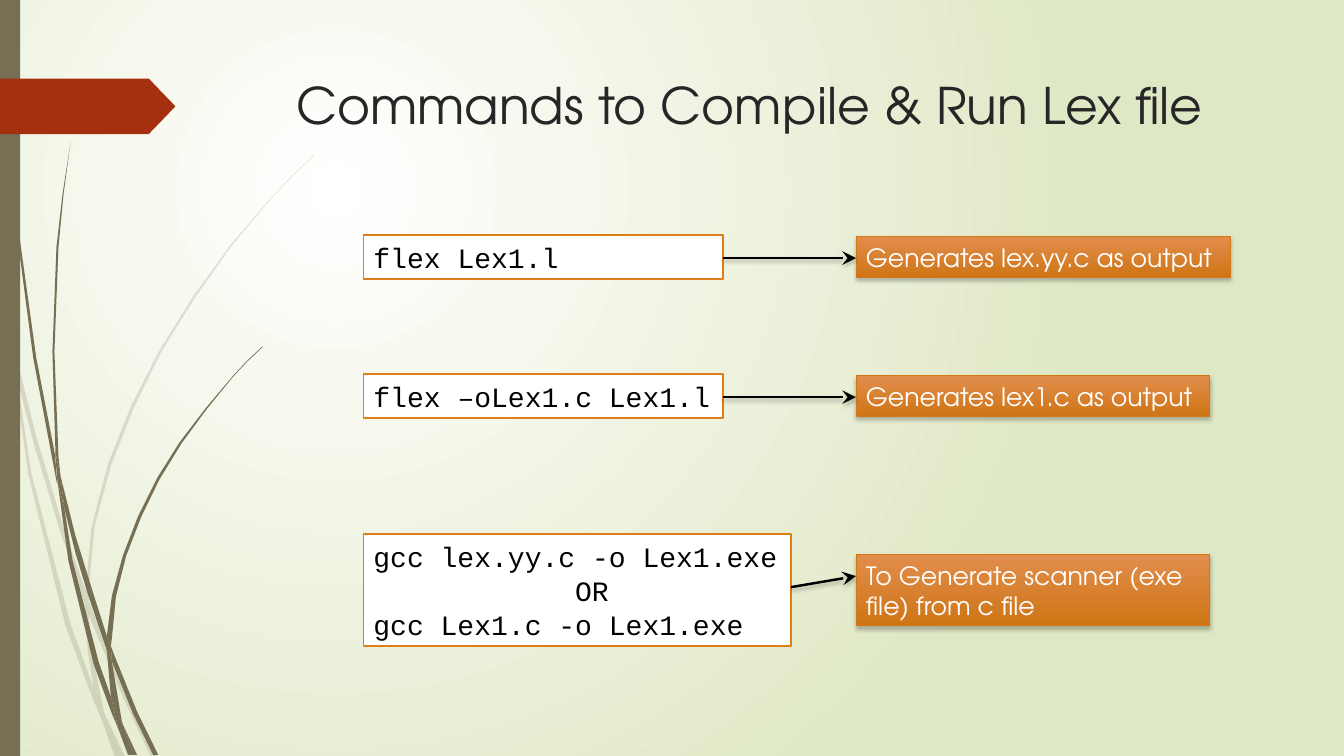
from lxml import etree
from pptx import Presentation
from pptx.dml.color import RGBColor
from pptx.enum.shapes import MSO_CONNECTOR, MSO_SHAPE
from pptx.enum.text import MSO_ANCHOR, PP_ALIGN
from pptx.oxml.ns import qn
from pptx.util import Inches, Pt

RECTANGLE, TAG = MSO_SHAPE.RECTANGLE, MSO_SHAPE.PENTAGON
STRAIGHT, LEFT = MSO_CONNECTOR.STRAIGHT, PP_ALIGN.LEFT
TOP, MIDDLE = MSO_ANCHOR.TOP, MSO_ANCHOR.MIDDLE

# The grid: fine square cells, all lengths below count them
CELL = Inches(0.01)
COLUMNS, ROWS = 1333, 750
HEAD_FONT, CODE_FONT = "TeX Gyre Adventor", "Courier New"
BROWN, RUST, ORANGE = "766F54", "A53010", "DE7E18"
WHITE, BLACK, INK = "FFFFFF", "000000", "262626"

# Grass blades: corners (column, row) of each piece
PALE_BLADES = [
    [(11, 350), (9, 322), (0, 282), (0, 299), (10, 344)],
    [(58, 522), (84, 599), (85, 586), (62, 520), (36, 433), (14, 345), (17, 376), (34, 442)],
    [(92, 607), (88, 596), (88, 610), (123, 694), (150, 751), (155, 751), (127, 692)],
    [(119, 751), (124, 751), (105, 711)],
    [(93, 683), (70, 619), (31, 469), (17, 376), (11, 350), (28, 470), (65, 621),
     (92, 693), (101, 714), (99, 707)],
    [(84, 599), (87, 646), (93, 683), (96, 692), (105, 711), (103, 706), (91, 646),
     (88, 610), (88, 608)],
    [(88, 584), (94, 522), (110, 462), (133, 404), (160, 349), (193, 296), (229, 245),
     (268, 198), (290, 175), (312, 154), (312, 153), (289, 175), (268, 197), (228, 244),
     (191, 295), (158, 348), (130, 403), (107, 461), (91, 522), (85, 584), (85, 586), (88, 596)],
    [(101, 714), (114, 751), (119, 751)],
    [(88, 608), (88, 610), (88, 596), (85, 586), (84, 599)],
    [(96, 692), (93, 683), (99, 707), (101, 714), (119, 751), (105, 711)],
]
DARK_BLADES = [
    [(7, 110), (17, 233), (33, 355), (56, 477), (57, 481), (55, 457), (55, 453),
     (36, 355), (19, 232), (8, 109), (5, 48), (4, 0), (3, 0), (4, 48)],
    [(88, 592), (106, 645), (106, 633), (106, 631), (93, 590), (75, 532), (60, 472),
     (64, 505), (75, 549)],
    [(113, 649), (110, 641), (111, 656), (132, 708), (152, 749), (157, 749), (136, 706)],
    [(110, 691), (98, 657), (72, 556), (64, 505), (57, 477), (68, 557), (93, 659),
     (111, 708), (117, 722), (116, 717)],
    [(60, 472), (58, 453), (54, 349), (58, 245), (63, 193), (70, 141), (62, 193),
     (56, 245), (52, 349), (55, 449)],
    [(133, 749), (136, 749), (122, 719)],
    [(57, 477), (64, 505), (60, 472), (55, 449), (55, 453)],
    [(111, 633), (115, 592), (125, 552), (140, 513), (158, 476), (180, 440), (205, 406),
     (231, 374), (245, 359), (261, 344), (260, 344), (245, 358), (231, 373), (204, 405),
     (178, 439), (156, 474), (137, 512), (122, 551), (111, 591), (106, 631), (110, 641)],
    [(117, 722), (127, 749), (131, 749)],
    [(106, 645), (110, 691), (116, 706), (122, 719), (121, 716), (111, 656), (109, 651)],
    [(106, 645), (109, 651), (111, 656), (110, 641), (106, 631), (106, 633)],
    [(116, 706), (110, 691), (116, 717), (117, 722), (130, 749), (133, 749), (122, 719)],
]

# Steps: row box (column, row, columns, rows), command lines, command width,
# note, note size, and how far the arrow's two ends lie above the middle
STEPS = [
    ((360.5, 233, 860, 44), ["flex Lex1.l"], 356.5,
     "Generates lex.yy.c as output", (371, 40), (-1, -1)),
    ((360.5, 371, 860, 44), ["flex –oLex1.c Lex1.l"], 356.5,
     "Generates lex1.c as output", (351, 40), (-1, -1)),
    ((360.5, 530, 860, 111), ["gcc lex.yy.c -o Lex1.exe", "OR", "gcc Lex1.c -o Lex1.exe"],
     424, "To Generate scanner (exe file) from c file", (351, 71), (3, 14)),
]
NOTE_COLUMN = 488.5
OR_INDENT = 200


def cells(*counts):
    return [round(count * CELL) for count in counts]


def color(hex_code):
    return RGBColor.from_string(hex_code)


def add_child(parent, tag, **attributes):
    child = etree.SubElement(parent, qn(tag))
    for key, value in attributes.items():
        child.set(key, str(value))
    return child


def paint(shape, fill, line=None, weight=1.25):
    shape.shadow.inherit = False
    shape.fill.solid()
    shape.fill.fore_color.rgb = color(fill)
    if line:
        shape.line.color.rgb = color(line)
        shape.line.width = Pt(weight)
    else:
        shape.line.fill.background()


def set_gradient(fill, first, last):
    fill.gradient()
    for stop, shade in zip(fill.gradient_stops, (first, last)):
        stop.color.rgb = color(shade)


def drop_shadow(properties):
    effects = properties.find(qn("a:effectLst"))
    if effects is None:
        effects = add_child(properties, "a:effectLst")
    shadow = add_child(effects, "a:outerShdw", blurRad=Pt(3), dist=Pt(2),
                       dir=5400000, rotWithShape=0)
    add_child(add_child(shadow, "a:srgbClr", val=BLACK), "a:alpha", val=25000)


def write(shape, lines, font, size, ink, wrap=False, anchor=MIDDLE):
    frame = shape.text_frame
    frame.text = "\n".join(lines)
    frame.word_wrap = wrap
    frame.vertical_anchor = anchor
    for paragraph in frame.paragraphs:
        paragraph.alignment = LEFT
        for run in paragraph.runs:
            run.font.name, run.font.size = font, Pt(size)
            run.font.color.rgb = color(ink)


def draw_blade(slide, box, corners, opacity):
    left, top = box[:2]
    outline = [cells(left + x, top + y) for x, y in corners]
    builder = slide.shapes.build_freeform(*outline[0])
    builder.add_line_segments(outline[1:], close=True)
    blade = builder.convert_to_shape()
    paint(blade, BROWN)
    if opacity < 100:
        shade = blade.element.spPr.find(qn("a:solidFill"))[0]
        add_child(shade, "a:alpha", val=opacity * 1000)


def draw_background(slide):
    set_gradient(slide.background.fill, WHITE, "DFE8C4")
    gradient = next(slide.element.iter(qn("a:gradFill")))
    gradient.remove(gradient.find(qn("a:lin")))
    glow = add_child(gradient, "a:path", **{"path": "circle"})
    add_child(glow, "a:fillToRect", l=50000, t=50000, r=100000, b=100000)


def draw_margin(slide, box):
    left, top, _, height = box
    for blades, opacity in ((PALE_BLADES, 20), (DARK_BLADES, 100)):
        for corners in blades:
            draw_blade(slide, box, corners, opacity)
    # Side bar and tag
    bar = slide.shapes.add_shape(RECTANGLE, *cells(left, top, 20, height))
    paint(bar, BROWN)
    tag = slide.shapes.add_shape(TAG, *cells(left, top + 78, 174, 55))
    tag.adjustments[0] = 0.48
    paint(tag, RUST)


def draw_title(slide, box):
    title = slide.shapes.add_textbox(*cells(*box))
    write(title, ["Commands to Compile & Run Lex file"], HEAD_FONT, 36, INK, True, TOP)


def draw_step(slide, box, command_lines, command_width, note_text, note_size, rises):
    left, top, _, height = box
    middle = top + height / 2
    note_left = left + NOTE_COLUMN
    note_width, note_height = note_size
    # Command
    command = slide.shapes.add_shape(RECTANGLE, *cells(left, top, command_width, height))
    paint(command, WHITE, ORANGE)
    write(command, command_lines, CODE_FONT, 20, BLACK)
    for paragraph in command.text_frame.paragraphs:
        if paragraph.text == "OR":
            paragraph._p.get_or_add_pPr().set("marL", str(OR_INDENT * CELL))
    # Note
    note = slide.shapes.add_shape(
        RECTANGLE, *cells(note_left, middle - note_height / 2, note_width, note_height))
    paint(note, ORANGE, "D47817", 0.75)
    set_gradient(note.fill, "E18D4C", "CF7516")
    note.fill.gradient_angle = 270
    drop_shadow(note.element.spPr)
    write(note, [note_text], HEAD_FONT, 18, WHITE, wrap=note_height > 50)
    # Arrow
    arrow = slide.shapes.add_connector(STRAIGHT, *cells(
        left + command_width, middle - rises[0], note_left, middle - rises[1]))
    arrow.line.color.rgb = color(BLACK)
    arrow.line.width = Pt(1.75)
    add_child(arrow.line._get_or_add_ln(), "a:tailEnd", type="stealth", w="lg", len="lg")
    drop_shadow(arrow._element.spPr)


deck = Presentation()
deck.slide_width, deck.slide_height = cells(COLUMNS, ROWS)
commands_slide = deck.slides.add_slide(deck.slide_layouts[6])
draw_background(commands_slide)
draw_margin(commands_slide, (0, 0, 320, ROWS))
draw_title(commands_slide, (284, 69, 975, 140))
for step_parts in STEPS:
    draw_step(commands_slide, *step_parts)
deck.save("out.pptx")
